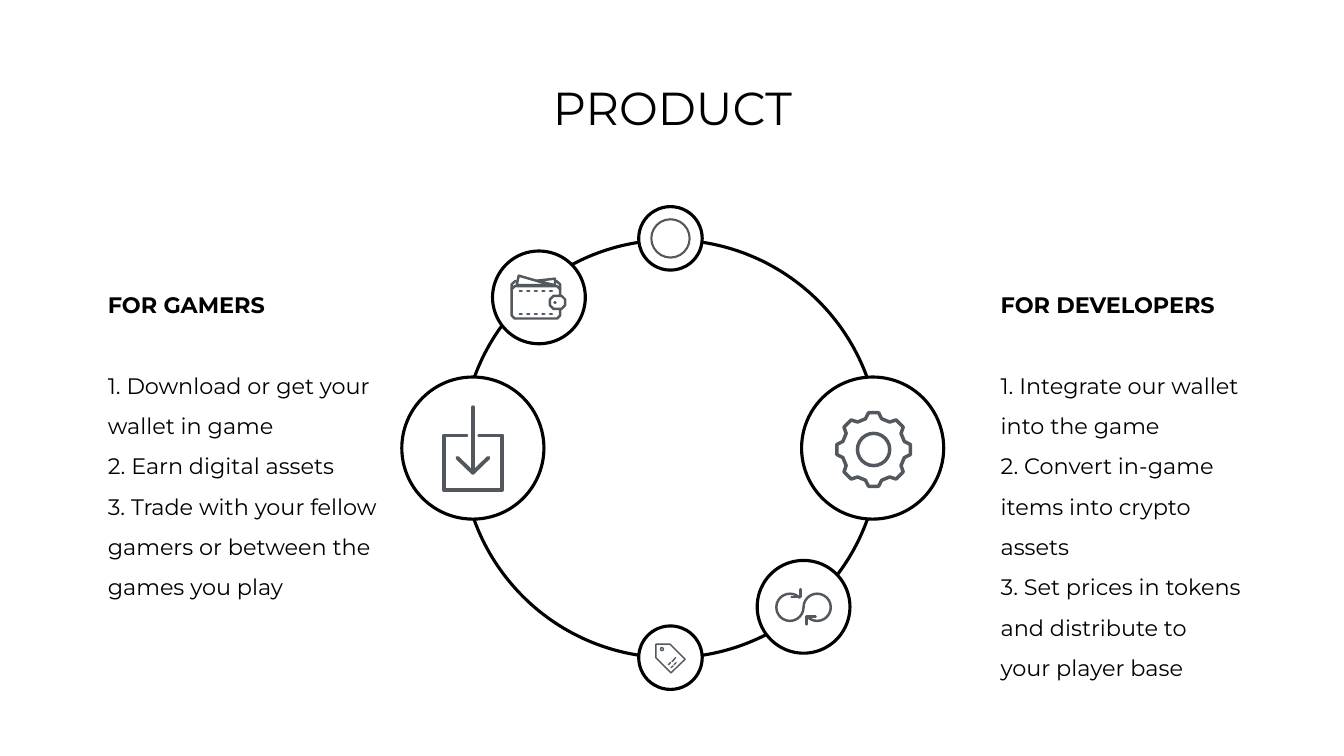
from math import cos, radians, sin

from pptx import Presentation
from pptx.dml.color import RGBColor
from pptx.enum.shapes import MSO_SHAPE
from pptx.enum.text import MSO_ANCHOR, MSO_AUTO_SIZE, PP_ALIGN
from pptx.oxml.ns import qn
from pptx.util import Pt

PX = 4572  # EMU, 200 px to the inch
FONT = "Montserrat"
BLACK, WHITE, SLATE = "000000", "FFFFFF", "53585F"

GAMERS = ("FOR GAMERS", [
    "1. Download or get your wallet in game",
    "2. Earn digital assets",
    "3. Trade with your fellow gamers or between the games you play",
])
DEVELOPERS = ("FOR DEVELOPERS", [
    "1. Integrate our wallet into the game",
    "2. Convert in-game items into crypto assets",
    "3. Set prices in tokens and distribute to your player base",
])


def color(value):
    return RGBColor.from_string(value)


def px(*lengths):
    return [round(length * PX) for length in lengths]


def style_outline(shape, line_color, width, fill=None):
    shape.shadow.inherit = False
    if fill:
        shape.fill.solid()
        shape.fill.fore_color.rgb = color(fill)
    else:
        shape.fill.background()
    shape.line.color.rgb = color(line_color)
    shape.line.width = Pt(width)
    shape.element.spPr.find(qn("a:ln")).set("cap", "rnd")


def add_circle(slide, x, y, radius, width, line_color, fill=None):
    box = px(x - radius, y - radius, 2 * radius, 2 * radius)
    circle = slide.shapes.add_shape(MSO_SHAPE.OVAL, *box)
    style_outline(circle, line_color, width, fill)


def add_icon(slide, center, strokes, width):
    """Draw all strokes, given relative to center, as one unfilled outline."""
    x, y = center
    strokes = [[px(x + dx, y + dy) for dx, dy in stroke] for stroke in strokes]
    builder = slide.shapes.build_freeform(*strokes[0][0])
    for index, stroke in enumerate(strokes):
        if index:
            builder.move_to(*stroke[0])
        builder.add_line_segments(stroke[1:], close=False)
    style_outline(builder.convert_to_shape(), SLATE, width)


def closed(points):
    return points + points[:1]


def arc(x, y, radius, start, end, step):
    return [(x + radius * cos(radians(angle)), y + radius * sin(radians(angle)))
            for angle in range(start, end + step, step)]


def draw_download(slide, center):
    tray = [(-13, -25), (-58, -25), (-58, 83), (58, 83), (58, -25), (13, -25)]
    shaft = [(0, -81), (0, 49)]
    head = [(-31, 19), (0, 49), (31, 19)]
    add_icon(slide, center, [tray, shaft, head], 2.75)


def draw_gear(slide, center):
    tooth = [(-16, -61), (-10, -73), (10, -73), (16, -61)]
    rim = [(2 + dx * cos(turn) - dy * sin(turn), 3 + dx * sin(turn) + dy * cos(turn))
           for turn in map(radians, range(0, 360, 45)) for dx, dy in tooth]
    add_icon(slide, center, [closed(rim), arc(2, 3, 32, 0, 360, 15)], 2.5)


def draw_exchange(slide, center):
    loops = arc(-27, 1, 27, -45, -360, -15) + arc(27, 1, 27, 180, 495, 15)
    arrows = [[(24 * side, 19 * side), (6 * side, 19 * side), (6 * side, 35 * side)]
              for side in (-1, 1)]
    add_icon(slide, center, [loops, *arrows], 1.75)


def draw_tag(slide, center):
    label = closed([(-29, -27), (-1, -27), (29, 3), (1, 30), (-29, 0)])
    hole = arc(-17, -17, 3, 0, 360, 45)
    dashes = [[(1, 20), (5, 16)], [(-4, 14), (0, 10)], [(3, 8), (10, 0)], [(7, 14), (11, 10)]]
    add_icon(slide, center, [label, hole, *dashes], 1)


def draw_wallet(slide, center):
    body = [(42, 23), (42, 36), (36, 42), (-48, 42), (-54, 36), (-54, -16),
            (-48, -22), (36, -22), (42, -16), (42, -3)]
    clasp = closed([(29, -3), (45, -3), (52, 4), (52, 16), (45, 23), (29, 23),
                    (22, 16), (22, 4)])
    button = [(31, 10), (33, 10)]
    notes = [closed([(-44, -24), (-40, -43), (26, -24)]),
             closed([(-4, -33), (32, -37), (32, -24)])]
    flaps = [[(-54, -16), (-54, -26), (-46, -33)], [(34, -33), (42, -26), (42, -16)]]
    stitches = [[(start, row), (start + 4, row)]
                for row in (-13, 33) for start in range(-38, 37, 15)]
    add_icon(slide, center, [body, clasp, button, *notes, *flaps, *stitches], 1.75)


def draw_coin(slide, center):
    add_circle(slide, *center, 38, 1.5, SLATE)


def add_cycle(slide, x, y, size):
    """Draw the large ring and the icon discs that sit on it."""
    radius = size / 2
    add_circle(slide, x + radius, y + radius, radius, 2.25, BLACK)
    discs = [
        (22, 413, 141, draw_download),
        (815, 413, 141, draw_gear),
        (678, 728, 92, draw_exchange),
        (414, 829, 63, draw_tag),
        (153, 114, 92, draw_wallet),
        (414, -3, 63, draw_coin),
    ]
    for dx, dy, disc_radius, draw_icon in discs:
        center = (x + dx, y + dy)
        add_circle(slide, *center, disc_radius, 2.25, BLACK, WHITE)
        draw_icon(slide, center)


def place_frame(shape, box, anchor):
    shape.left, shape.top, shape.width, shape.height = px(*box)
    frame = shape.text_frame
    frame.word_wrap = True
    frame.auto_size = MSO_AUTO_SIZE.NONE
    frame.vertical_anchor = anchor
    frame.margin_left, frame.margin_right = px(10, 10)
    frame.margin_top, frame.margin_bottom = px(4, 4)
    return frame


def add_run(paragraph, text, size, bold=False):
    run = paragraph.add_run()
    run.text = text
    run.font.name = FONT
    run.font.size = Pt(size)
    run.font.bold = bold
    run.font.color.rgb = color(BLACK)


def add_title(slide, text, box):
    paragraph = place_frame(slide.shapes.title, box, MSO_ANCHOR.MIDDLE).paragraphs[0]
    paragraph.alignment = PP_ALIGN.CENTER
    add_run(paragraph, text, 33)


def add_steps(slide, heading, steps, box):
    frame = place_frame(slide.shapes.add_textbox(*px(*box)), box, MSO_ANCHOR.TOP)
    paragraph = frame.paragraphs[0]
    paragraph.line_spacing = 1.5
    paragraph.space_after = Pt(29)
    add_run(paragraph, heading, 16, bold=True)
    for step in steps:
        paragraph = frame.add_paragraph()
        paragraph.line_spacing = 1.5
        add_run(paragraph, step, 16)


def main():
    presentation = Presentation()
    presentation.slide_width, presentation.slide_height = px(2666, 1500)
    slide = presentation.slides.add_slide(presentation.slide_layouts[5])
    add_title(slide, "PRODUCT", (814, 152, 1040, 122))
    add_cycle(slide, 916, 476, 829)
    add_steps(slide, *DEVELOPERS, (1975, 547, 497, 790))
    add_steps(slide, *GAMERS, (204, 547, 572, 752))
    presentation.save("out.pptx")


if __name__ == "__main__":
    main()
